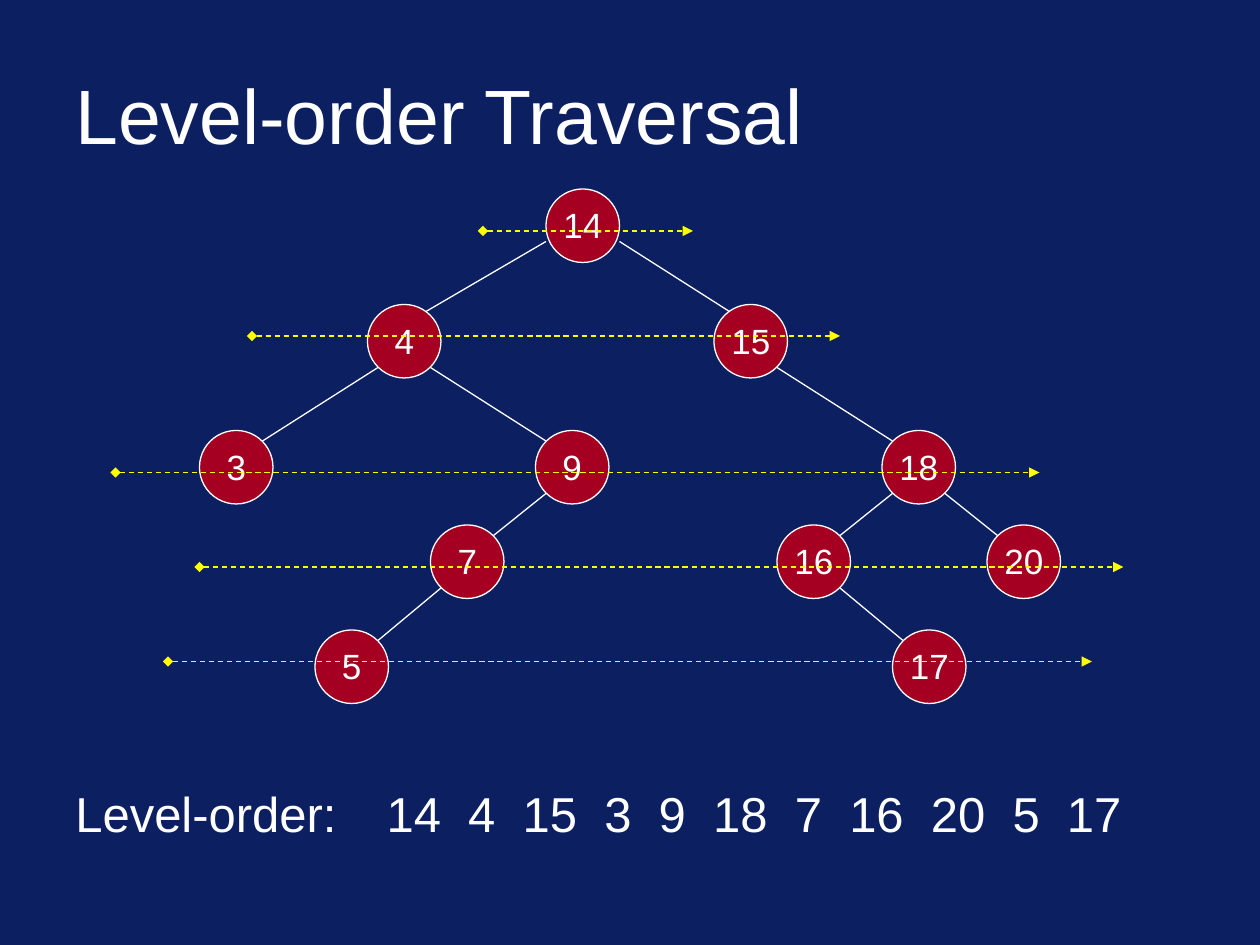
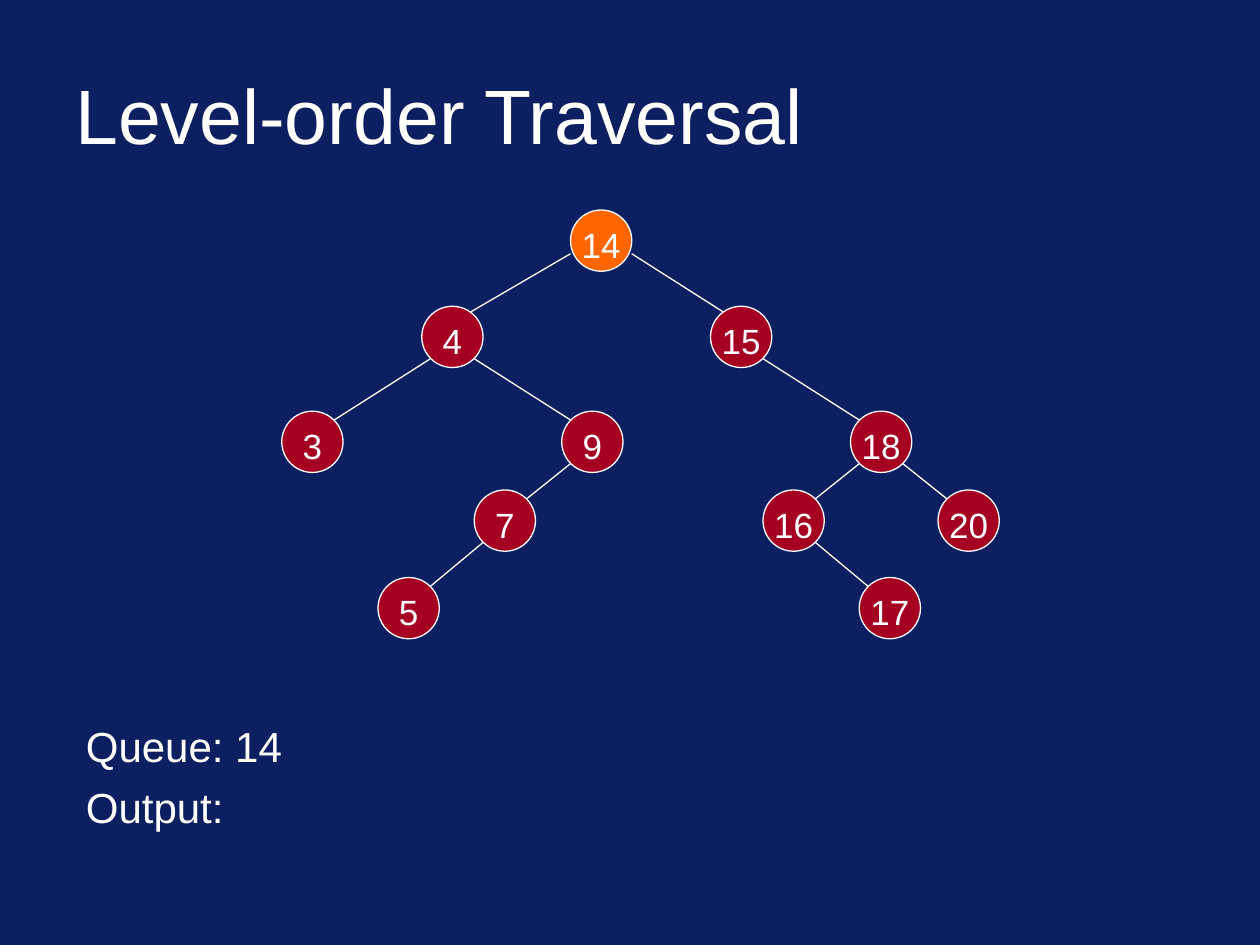
from dataclasses import dataclass

import pptx
import pptx.dml.color
import pptx.enum.dml
import pptx.enum.shapes
import pptx.enum.text
import pptx.oxml.ns
import pptx.util
from lxml import etree

# Shared look
NAVY, WHITE, RED, ORANGE, YELLOW = "0B1F61", "FFFFFF", "A50021", "FF6600", "FFFF00"
FONT = "Arial"
THIN = 0.75
TITLE = "Level-order Traversal"
SHAPE = pptx.enum.shapes.MSO_SHAPE
ALIGN = pptx.enum.text.PP_ALIGN
ANCHOR = pptx.enum.text.MSO_ANCHOR


@dataclass(frozen=True)
class Grid:
    """Square cells; the plain grid is 120 columns by 90 rows of the slide."""
    cell: float = 1 / 12
    left: float = 0
    top: float = 0

    def x(self, col: float) -> int:
        return pptx.util.Inches(self.left + col * self.cell)

    def y(self, row: float) -> int:
        return pptx.util.Inches(self.top + row * self.cell)

    def size(self, count: float) -> int:
        return pptx.util.Inches(count * self.cell)

    def box(self, col: float, row: float, wide: float, high: float) -> tuple:
        return self.x(col), self.y(row), self.size(wide), self.size(high)


@dataclass(frozen=True)
class Node:
    key: int
    col: int
    row: int
    up: int = 0  # key of the parent, 0 at the root


@dataclass(frozen=True)
class Sweep:
    row: int
    start: int
    end: int


PAGE = Grid()
SMALL = Grid(cell=5 / 72, left=11 / 12, top=5 / 12)

# The tree, in level order
SIDE = 7
NODES = [
    Node(14, 52, 18),
    Node(4, 35, 29, 14), Node(15, 68, 29, 14),
    Node(3, 19, 41, 4), Node(9, 51, 41, 4), Node(18, 84, 41, 15),
    Node(7, 41, 50, 9), Node(16, 74, 50, 18), Node(20, 94, 50, 18),
    Node(5, 30, 60, 7), Node(17, 85, 60, 16),
]
SWEEPS = [
    Sweep(22, 46, 66), Sweep(32, 24, 80), Sweep(45, 11, 99),
    Sweep(54, 19, 107), Sweep(63, 16, 104),
]


def color(code: str) -> pptx.dml.color.RGBColor:
    return pptx.dml.color.RGBColor.from_string(code)


def add(parent, tag: str, **attrs):
    return etree.SubElement(parent, pptx.oxml.ns.qn(tag), attrs)


def write(slide, box: tuple, text: str, *, size: float, align=ALIGN.LEFT,
          anchor=ANCHOR.TOP, before: float = 0, tabs: tuple = ()) -> None:
    frame = slide.shapes.add_textbox(*box).text_frame
    frame.word_wrap = True
    frame.vertical_anchor = anchor
    for i, line in enumerate(text.split("\n")):
        para = frame.paragraphs[0] if i == 0 else frame.add_paragraph()
        para.alignment = align
        para.space_before = pptx.util.Pt(before)
        if tabs:
            stops = add(para._p.get_or_add_pPr(), "a:tabLst")
            for stop in tabs:
                add(stops, "a:tab", pos=str(pptx.util.Inches(stop)), algn="l")
        run = para.add_run()
        run.text = line
        run.font.name = FONT
        run.font.size = pptx.util.Pt(size)
        run.font.color.rgb = color(WHITE)


def draw_line(slide, grid: Grid, start: tuple, end: tuple, hue: str = WHITE,
              arrow: bool = False) -> None:
    link = slide.shapes.add_connector(
        pptx.enum.shapes.MSO_CONNECTOR.STRAIGHT,
        grid.x(start[0]), grid.y(start[1]), grid.x(end[0]), grid.y(end[1]))
    link.line.color.rgb = color(hue)
    link.line.width = pptx.util.Pt(THIN)
    if arrow:
        link.line.dash_style = pptx.enum.dml.MSO_LINE.DASH
        line = link.line._get_or_add_ln()
        add(line, "a:headEnd", type="diamond")
        add(line, "a:tailEnd", type="triangle")
    add(link._element.spPr, "a:effectLst")


def draw_edge(slide, grid: Grid, top: Node, low: Node) -> None:
    # The root's edges leave from its sides, the others from lower corners
    out, drop, inset = (1, 6, 1) if top.up else (0, 5, 2)
    if low.col < top.col:
        start, end = top.col + out, low.col + SIDE - inset
    else:
        start, end = top.col + SIDE - out, low.col + inset
    draw_line(slide, grid, (start, top.row + drop), (end, low.row + 1))


def draw_node(slide, grid: Grid, node: Node, fill: str) -> None:
    disc = slide.shapes.add_shape(
        SHAPE.OVAL, *grid.box(node.col, node.row, SIDE, SIDE))
    disc.shadow.inherit = False
    disc.fill.solid()
    disc.fill.fore_color.rgb = color(fill)
    disc.line.color.rgb = color(WHITE)
    disc.line.width = pptx.util.Pt(THIN)
    left, top, wide, _ = grid.box(node.col - 1, node.row + 0.8, SIDE + 2, 0)
    write(slide, (left, top, wide, pptx.util.Inches(0.44)), str(node.key),
          size=20, align=ALIGN.CENTER)


def draw_tree(slide, grid: Grid, active: tuple = ()) -> None:
    found = {node.key: node for node in NODES}
    for node in NODES:
        if node.up:
            draw_edge(slide, grid, found[node.up], node)
    for node in NODES:
        draw_node(slide, grid, node, ORANGE if node.key in active else RED)


def new_slide(deck):
    slide = deck.slides.add_slide(deck.slide_layouts[6])
    slide.background.fill.solid()
    slide.background.fill.fore_color.rgb = color(NAVY)
    write(slide, PAGE.box(6, 4.8, 108, 12), TITLE, size=44, anchor=ANCHOR.MIDDLE)
    return slide


def order_slide(deck) -> None:
    slide = new_slide(deck)
    draw_tree(slide, PAGE)
    for sweep in SWEEPS:
        draw_line(slide, PAGE, (sweep.start, sweep.row), (sweep.end, sweep.row),
                  YELLOW, arrow=True)
    # One tab stop per key, each as far on as the digits before it need
    keys = [str(node.key) for node in NODES]
    digit, stops = 0.216, [2.47]
    for key in keys[:-1]:
        stops.append(stops[-1] + (len(key) + 1) * digit)
    write(slide, PAGE.box(6, 74, 108, 9), "\t".join(["Level-order:", *keys]),
          size=28, before=7, tabs=tuple(stops))


def queue_slide(deck) -> None:
    slide = new_slide(deck)
    draw_tree(slide, SMALL, active=(14,))
    write(slide, PAGE.box(7, 68, 108, 12), "Queue: 14\nOutput:", size=24, before=6)


def main() -> None:
    deck = pptx.Presentation()
    deck.slide_width, deck.slide_height = PAGE.size(120), PAGE.size(90)
    order_slide(deck)
    queue_slide(deck)
    deck.save("out.pptx")


if __name__ == "__main__":
    main()
